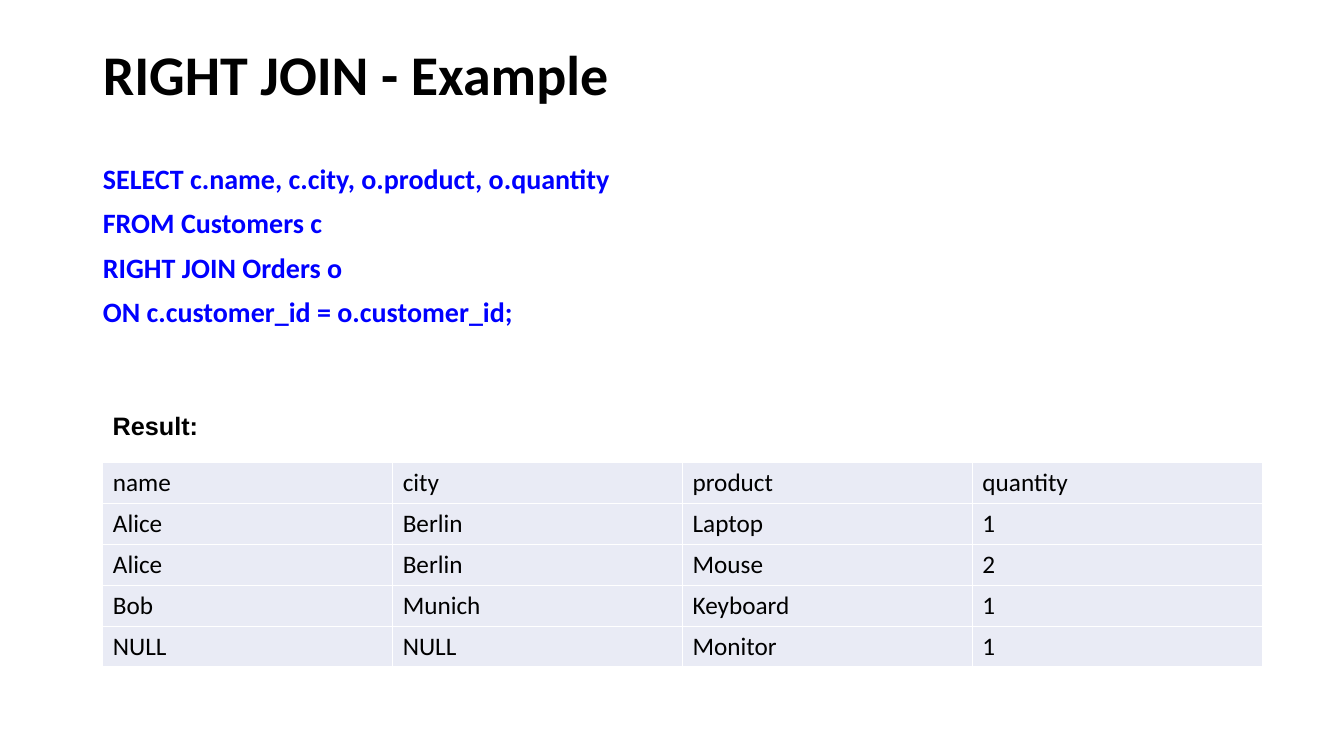
from lxml import etree
from pptx import Presentation
from pptx.dml.color import RGBColor
from pptx.enum.text import MSO_ANCHOR, MSO_AUTO_SIZE, PP_ALIGN
from pptx.oxml.ns import qn
from pptx.util import Inches, Pt

TOP, MIDDLE = MSO_ANCHOR.TOP, MSO_ANCHOR.MIDDLE
NO_FIT = MSO_AUTO_SIZE.NONE
LEFT = PP_ALIGN.LEFT

QUERY = [
    "SELECT c.name, c.city, o.product, o.quantity",
    "FROM Customers c",
    "RIGHT JOIN Orders o",
    "ON c.customer_id = o.customer_id;",
]
RESULT = [
    ["name", "city", "product", "quantity"],
    ["Alice", "Berlin", "Laptop", "1"],
    ["Alice", "Berlin", "Mouse", "2"],
    ["Bob", "Munich", "Keyboard", "1"],
    ["NULL", "NULL", "Monitor", "1"],
]


def rgb(value):
    return RGBColor.from_string(value)


def apply(target, values):
    for name, value in values.items():
        setattr(target, name, value)


class SlideBuilder:
    """Holds the slide and its text styles, and adds each kind of element."""

    title_font = {"name": "Calibri", "size": Pt(40), "bold": True}
    query_font = {"name": "Calibri", "size": Pt(20), "bold": True}
    label_font = {"name": "Arial", "size": Pt(18), "bold": True}
    cell_font = {"name": "Calibri", "size": Pt(18), "bold": False}
    tight = {"alignment": LEFT, "line_spacing": 0.9}
    spaced = {**tight, "space_before": Pt(10)}
    ink, query_ink, cell_fill = "000000", "0000FF", "E9EBF5"

    def __init__(self, page):
        self.page = page

    def place(self, box, left, top, width, height):
        apply(box, {"left": Inches(left), "top": Inches(top),
                    "width": Inches(width), "height": Inches(height)})

    def add_text(self, para, text, font, color, layout):
        span = para.add_run()
        span.text = text
        apply(span.font, font)
        span.font.color.rgb = rgb(color)
        apply(para, layout)

    def title(self, text, *area):
        box = self.page.shapes.title
        self.place(box, *area)
        frame = box.text_frame
        apply(frame, {"auto_size": NO_FIT, "vertical_anchor": TOP,
                      "margin_top": Inches(0.07)})
        self.add_text(frame.paragraphs[0], text, self.title_font, self.ink, self.tight)

    def query(self, lines, *area):
        box = self.page.placeholders[1]
        self.place(box, *area)
        frame = box.text_frame
        apply(frame, {"auto_size": NO_FIT, "vertical_anchor": TOP})
        for index, line in enumerate(lines):
            para = frame.add_paragraph() if index else frame.paragraphs[0]
            self.add_text(para, line, self.query_font, self.query_ink, self.spaced)
            properties = para._p.get_or_add_pPr()
            properties.set("marL", "0")
            properties.set("indent", "0")
            etree.SubElement(properties, qn("a:buNone"))

    def label(self, text, *area):
        box = self.page.shapes.add_textbox(*map(Inches, area))
        frame = box.text_frame
        apply(frame, {"word_wrap": True, "vertical_anchor": MIDDLE})
        self.add_text(frame.paragraphs[0], text, self.label_font, self.ink,
                      {"alignment": LEFT})

    def table(self, rows, *area):
        table = self.page.shapes.add_table(
            len(rows), len(rows[0]), *map(Inches, area)).table
        apply(table, {"first_row": False, "horz_banding": False})
        for row, texts in zip(table.rows, rows):
            for cell, text in zip(row.cells, texts):
                cell.fill.solid()
                cell.fill.fore_color.rgb = rgb(self.cell_fill)
                cell.vertical_anchor = MIDDLE
                self.add_text(cell.text_frame.paragraphs[0], text,
                              self.cell_font, self.ink, {"alignment": LEFT})


def main():
    deck = Presentation()
    apply(deck, {"slide_width": Inches(13.33), "slide_height": Inches(7.5)})
    builder = SlideBuilder(deck.slides.add_slide(deck.slide_layouts[1]))
    builder.title("RIGHT JOIN - Example", 0.92, 0.4, 11.5, 1.45)
    builder.query(QUERY, 0.92, 1.59, 11.5, 4.76)
    builder.table(RESULT, 1.02, 4.59, 11.5, 2)
    builder.label("Result:", 1.02, 3.97, 11.5, 0.5)
    deck.save("out.pptx")


if __name__ == "__main__":
    main()
